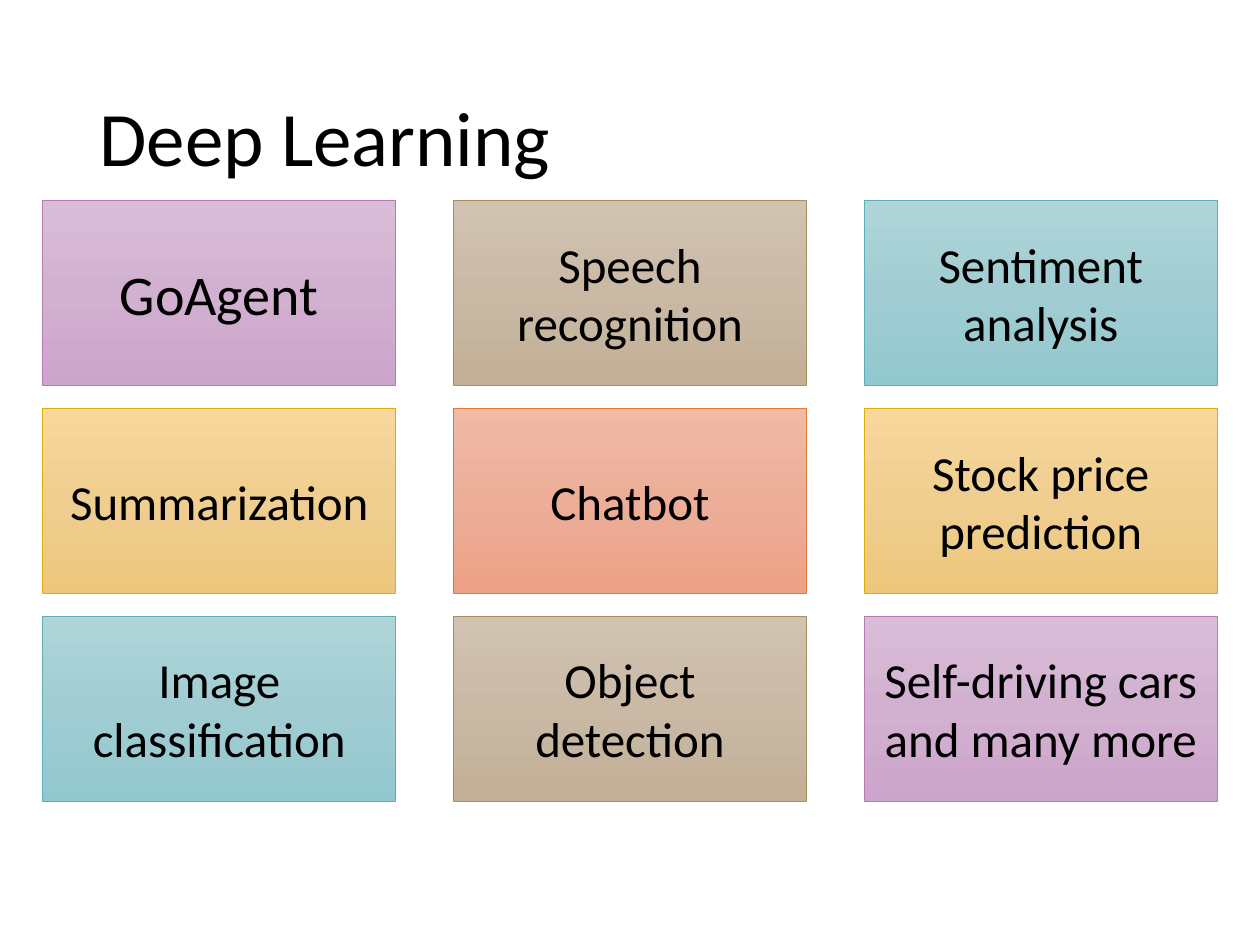
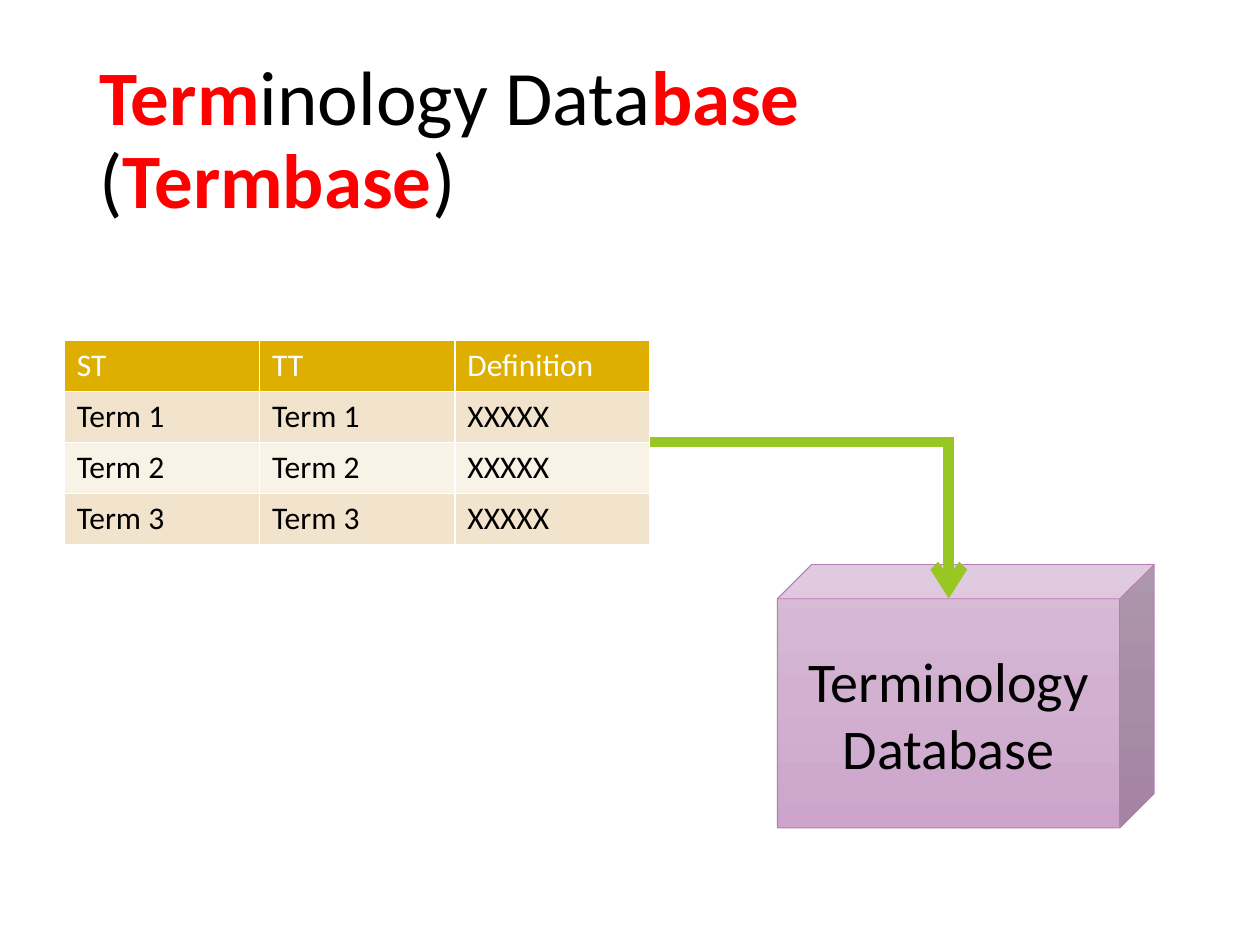
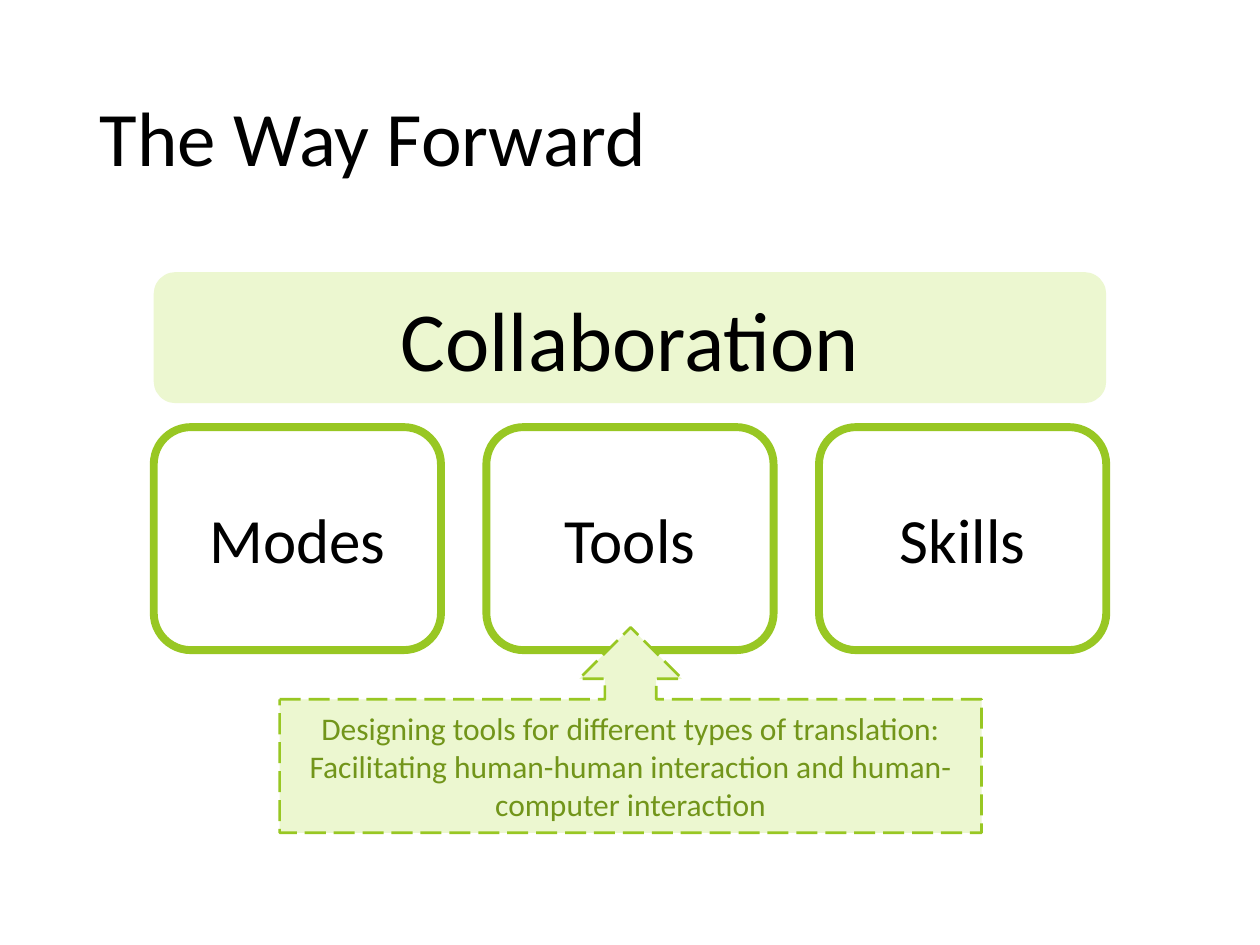
"""Build three slides on deep learning, termbases and the way forward."""
from copy import deepcopy

from lxml.etree import SubElement
from pptx import Presentation
from pptx.dml.color import RGBColor
from pptx.enum.dml import MSO_LINE
from pptx.enum.shapes import MSO_CONNECTOR, MSO_SHAPE
from pptx.enum.text import MSO_ANCHOR, MSO_AUTO_SIZE, PP_ALIGN
from pptx.oxml.ns import qn
from pptx.util import Inches, Pt

FONT = "Calibri"
COLORS = {
    "black": "000000", "white": "FFFFFF", "red": "FF0000",
    "green": "98C723", "pale green": "ECF7D0", "dark green": "72951A",
    "header": "DEAE00", "odd row": "F2E3CC", "even row": "F9F2E7",
    "purple line": "B77BB4", "brown line": "A98D63", "teal line": "59B0B9",
    "gold line": "DEAE00", "orange line": "E0773C",
}
GRADIENTS = {
    "purple": ("D9BDD8", "D2B1D0", "CDA4CB"),
    "brown": ("D1C3B2", "C9B9A5", "C3AF96"),
    "teal": ("AFD5D9", "A1CDD2", "91C8CF"),
    "gold": ("F8D79D", "EFCE90", "EDC77C"),
    "orange": ("F0BAA7", "ECAE99", "EDA185"),
}


def color(name):
    return RGBColor.from_string(COLORS[name])


def write(frame, text, size=18, ink="black", align=PP_ALIGN.LEFT, spacing=1.0):
    frame.word_wrap = True
    for index, line in enumerate(text.split("\n")):
        para = frame.add_paragraph() if index else frame.paragraphs[0]
        para.alignment = align
        para.line_spacing = spacing
        for part, words in enumerate(line.split("*")):
            if not words:
                continue
            strong = part % 2 == 1
            span = para.add_run()
            span.text = words
            span.font.name = FONT
            span.font.size = Pt(size)
            span.font.bold = strong
            span.font.color.rgb = color("red" if strong else ink)


class Deck:
    def __init__(self):
        self.deck = Presentation()
        self.deck.slide_width = Inches(10)
        self.deck.slide_height = Inches(7.5)
        self.page = None

    def add_page(self, title):
        self.page = self.deck.slides.add_slide(self.deck.slide_layouts[5])
        box = self.page.shapes.title
        box.left, box.top = Inches(0.69), Inches(0.4)
        box.width, box.height = Inches(8.62), Inches(1.45)
        box.text_frame.auto_size = MSO_AUTO_SIZE.NONE
        box.text_frame.vertical_anchor = MSO_ANCHOR.MIDDLE
        write(box.text_frame, title, size=44, spacing=0.9)

    def add_box(self, kind, left, top, width, height, text, size,
                fill=None, line=None, weight=0.5, ink="black"):
        box = self.page.shapes.add_shape(
            kind, Inches(left), Inches(top), Inches(width), Inches(height))
        box.shadow.inherit = False
        if fill:
            box.fill.solid()
            box.fill.fore_color.rgb = color(fill)
        if line:
            box.line.color.rgb = color(line)
            box.line.width = Pt(weight)
        else:
            box.line.fill.background()
        box.text_frame.vertical_anchor = MSO_ANCHOR.MIDDLE
        write(box.text_frame, text, size=size, ink=ink, align=PP_ALIGN.CENTER)
        return box

    def add_gradient_box(self, kind, left, top, width, height, text, size, hue):
        box = self.add_box(kind, left, top, width, height, text, size, line=f"{hue} line")
        box.fill.gradient()
        box.fill.gradient_angle = 270
        stop_list = box._element.spPr.find(".//" + qn("a:gsLst"))
        stop_list.insert(1, deepcopy(stop_list[0]))
        for index, stop in enumerate(box.fill.gradient_stops):
            stop.position = index / 2
            stop.color.rgb = RGBColor.from_string(GRADIENTS[hue][index])
        return box

    def add_table(self, left, top, column_width, row_height, rows):
        columns = len(rows[0])
        table = self.page.shapes.add_table(
            len(rows), columns, Inches(left), Inches(top),
            Inches(column_width * columns), Inches(row_height * len(rows))).table
        for r, row in enumerate(rows):
            fill = "odd row" if r % 2 else "even row" if r else "header"
            for c, text in enumerate(row):
                cell = table.cell(r, c)
                cell.fill.solid()
                cell.fill.fore_color.rgb = color(fill)
                write(cell.text_frame, text, ink="black" if r else "white")

    def add_bent_arrow(self, start_x, start_y, end_x, end_y):
        arrow = self.page.shapes.add_connector(
            MSO_CONNECTOR.ELBOW, Inches(start_x), Inches(start_y),
            Inches(end_x), Inches(end_y))
        arrow.line.color.rgb = color("green")
        arrow.line.width = Pt(6)
        properties = arrow._element.spPr
        properties.find(qn("a:prstGeom")).set("prst", "bentConnector2")
        outline = properties.find(qn("a:ln"))
        SubElement(outline, qn("a:miter"), lim="800000")
        SubElement(outline, qn("a:tailEnd"), type="arrow")
        SubElement(properties, qn("a:effectLst"))


def build_deep_learning(deck):
    deck.add_page("Deep Learning")
    topics = [
        ("GoAgent", "purple"), ("Speech\nrecognition", "brown"),
        ("Sentiment analysis", "teal"),
        ("Summarization", "gold"), ("Chatbot", "orange"),
        ("Stock price prediction", "gold"),
        ("Image classification", "teal"), ("Object detection", "brown"),
        ("Self-driving cars and many more", "purple"),
    ]
    for index, (topic, hue) in enumerate(topics):
        row, column = divmod(index, 3)
        deck.add_gradient_box(
            MSO_SHAPE.RECTANGLE, 0.34 + 3.26 * column, 1.59 + 1.65 * row,
            2.8, 1.47, topic, 28 if index else 32, hue)


def build_termbase(deck):
    deck.add_page("*Term*inology Data*base* (*Termbase*)")
    terms = [(f"Term {number}", f"Term {number}", "XXXXX") for number in (1, 2, 3)]
    deck.add_table(0.51, 2.7, 1.55, 0.4, [("ST", "TT", "Definition"), *terms])
    cube = deck.add_gradient_box(
        MSO_SHAPE.CUBE, 6.17, 4.48, 2.99, 2.09, "Terminology Database", 32, "purple")
    cube.adjustments[0] = 0.13
    deck.add_bent_arrow(5.16, 3.51, 7.53, 4.75)


def build_way_forward(deck):
    deck.add_page("The Way Forward")
    deck.add_box(MSO_SHAPE.ROUNDED_RECTANGLE, 1.22, 2.16, 7.56, 1.04,
                 "Collaboration", 48, fill="pale green")
    for index, pillar in enumerate(("Modes", "Tools", "Skills")):
        deck.add_box(MSO_SHAPE.ROUNDED_RECTANGLE, 1.22 + 2.64 * index, 3.39, 2.28, 1.77,
                     pillar, 36, fill="white", line="green", weight=4.5)
    callout = deck.add_box(
        MSO_SHAPE.UP_ARROW_CALLOUT, 2.22, 4.98, 5.57, 1.63,
        "Designing tools for different types of translation: "
        "Facilitating human-human interaction and human-computer interaction",
        18, fill="pale green", line="green", weight=1.5, ink="dark green")
    callout.line.dash_style = MSO_LINE.LONG_DASH


def main():
    deck = Deck()
    build_deep_learning(deck)
    build_termbase(deck)
    build_way_forward(deck)
    deck.deck.save("out.pptx")


if __name__ == "__main__":
    main()
